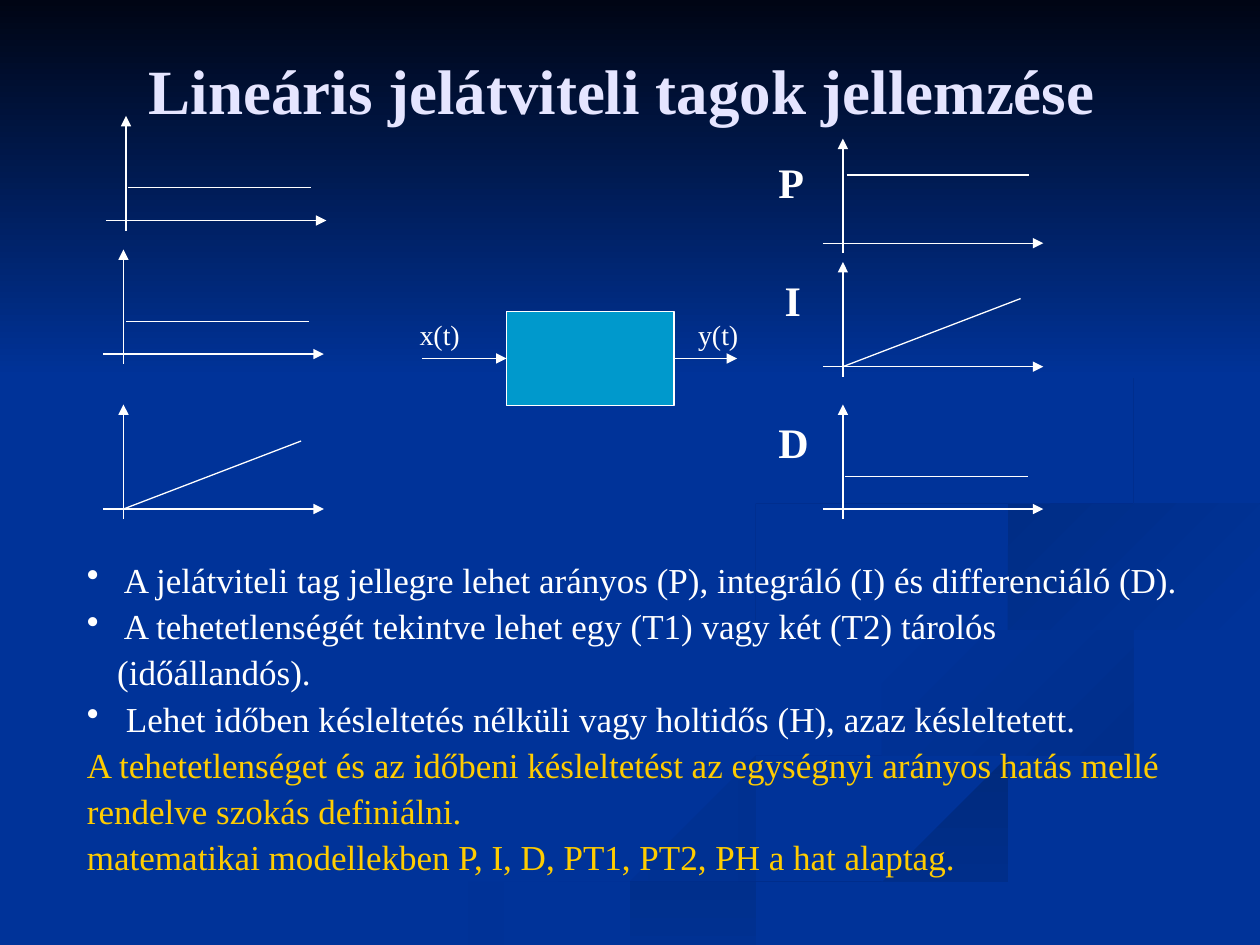
from dataclasses import dataclass
from math import hypot
from lxml.etree import SubElement
from pptx import Presentation
from pptx.dml.color import RGBColor
from pptx.enum.shapes import MSO_CONNECTOR as Conn, MSO_SHAPE as Shape
from pptx.enum.text import MSO_ANCHOR as Anchor, PP_ALIGN as Align
from pptx.oxml.ns import qn
from pptx.util import Inches, Pt

WHITE = RGBColor(0xFF, 0xFF, 0xFF)
BLUE = RGBColor(0x00, 0x33, 0x99)
CYAN = RGBColor(0x00, 0x99, 0xCC)
LAVENDER = RGBColor(0xE5, 0xE5, 0xFF)
YELLOW = RGBColor(0xFF, 0xCC, 0x00)
NIGHT = RGBColor(0x00, 0x05, 0x14)
SHADE_1 = RGBColor(0x00, 0x2E, 0x8B)
SHADE_2 = RGBColor(0x00, 0x2A, 0x7D)
SHADE_3 = RGBColor(0x00, 0x2D, 0x86)
SHADE_4 = RGBColor(0x00, 0x2B, 0x82)

SLIDE_W, SLIDE_H = 10, 7.5
RIGHTWARD, DIAGONAL, DOWNWARD = 0, 315, 270
LEFT_SIDE, RIGHT_SIDE = 1, 3
TIGHT, NORMAL = (0.02, 0.01), (0.1, 0.05)


@dataclass
class Ribbon:
    knots: list
    start: RGBColor
    end: RGBColor
    angle: int


LOWER_SWIRL = Ribbon(
    [(5.72, 4.62, 0.02), (5.85, 4.84, 0.06), (6.65, 5.15, 0.06), (7.74, 5.51, 0.03),
     (7.92, 5.74, 0.14), (7.72, 5.96, 0.18), (6.9, 6.2, 0.16), (5.5, 6.59, 0.18),
     (4.24, 7.02, 0.24), (3.3, 7.49, 0.3)], BLUE, SHADE_1, RIGHTWARD)
MIDDLE_SWIRL = Ribbon(
    [(7.24, 4.64, 0.01), (7.4, 4.91, 0.06), (8.03, 5.2, 0.1), (8.8, 5.42, 0.12),
     (9.24, 5.6, 0.2), (9.29, 5.81, 0.24), (8.95, 6.05, 0.02)], BLUE, SHADE_1, DIAGONAL)
BOTTOM_BAND = Ribbon(
    [(5.37, 7.49, 0.3), (6.3, 7.06, 0.23), (7.22, 6.71, 0.2), (8.46, 6.35, 0.18),
     (10, 5.94, 0.27)], SHADE_2, BLUE, DOWNWARD)
BROAD_RIBBON = Ribbon(
    [(10, 3.94, 0.15), (8.6, 4.17, 0.15), (7.53, 4.63, 0.54), (8.12, 5.03, 0.23),
     (9, 5.28, 0.2), (9.71, 5.6, 0.54), (8.92, 6.09, 0.08), (7.43, 6.49, 0.1),
     (5.73, 7.1, 0.13), (4.9, 7.49, 0.14)], BLUE, BLUE, RIGHTWARD)
RIGHT_TAIL = Ribbon(
    [(10, 4.11, 0.18), (8.9, 4.28, 0.16), (8.1, 4.5, 0.2), (7.93, 4.68, 0.22),
     (8.02, 4.83, 0.12), (8.26, 4.96, 0.01)], SHADE_3, BLUE, DIAGONAL)
UPPER_SWIRL = Ribbon(
    [(7.62, 2.33, 0.01), (8.5, 2.81, 0.05), (8.91, 3.38, 0.05), (8.61, 3.76, 0.13),
     (7.7, 4.06, 0.18), (6.7, 4.24, 0.17), (5.98, 4.47, 0.19), (5.85, 4.68, 0.16),
     (6.22, 5, 0.01)], SHADE_4, BLUE, DIAGONAL)
RIBBONS = [LOWER_SWIRL, MIDDLE_SWIRL, BOTTOM_BAND, BROAD_RIBBON, RIGHT_TAIL, UPPER_SWIRL]
SKY_CORNERS = [(0, 0), (0, 3.08), (SLIDE_W, 3.08), (SLIDE_W, 0)]

STEP_LOW = ((0.02, 0.26), (1.47, 0.26))
STEP_HIGH = ((0.03, 0.54), (1.48, 0.54))
RAMP = ((0, 0), (1.41, 0.54))
INPUT_PLOTS = [(1, 1.75, STEP_LOW), (0.98, 2.81, STEP_LOW), (0.98, 4.04, RAMP)]
OUTPUT_PLOTS = [(6.69, 1.93, STEP_HIGH), (6.69, 2.91, RAMP), (6.69, 4.04, STEP_LOW)]
OUTPUT_NAMES = [("P", 6.08, 1.19, 0.44), ("I", 6.13, 2.13, 0.34), ("D", 6.08, 3.26, 0.44)]

BULLETS = [
    " A jelátviteli tag jellegre lehet arányos (P), integráló (I) és differenciáló (D).",
    " A tehetetlenségét tekintve lehet egy (T1) vagy két (T2) tárolós (időállandós).",
    " Lehet időben késleltetés nélküli vagy holtidős (H), azaz késleltetett.",
]
NOTES = [
    "A tehetetlenséget és az időbeni késleltetést az egységnyi arányos hatás mellé "
    "rendelve szokás definiálni.",
    "matematikai modellekben P, I, D, PT1, PT2, PH a hat alaptag.",
]


def smooth_curve(knots, steps=8):
    padded = [knots[0], *knots, knots[-1]]
    curve = []
    for a, b, c, d in zip(padded, padded[1:], padded[2:], padded[3:]):
        for t in (i / steps for i in range(steps)):
            curve.append([
                q + t / 2 * (r - p + t * (2 * p - 5 * q + 4 * r - s
                                          + t * (3 * q - p - 3 * r + s)))
                for p, q, r, s in zip(a, b, c, d)])
    return curve + [knots[-1]]


def ribbon_outline(knots):
    curve = smooth_curve(knots)
    near, far = [], []
    for before, (x, y, width), after in zip(curve[:1] + curve, curve, curve[1:] + curve[-1:]):
        dx, dy = after[0] - before[0], after[1] - before[1]
        half = width / 2 / hypot(dx, dy)
        for side, sign in ((near, 1), (far, -1)):
            side.append((min(x - sign * dy * half, SLIDE_W),
                         min(y + sign * dx * half, SLIDE_H)))
    return near + far[::-1]


def write(p, text, size=20, color=WHITE, bold=False, align=Align.LEFT, spacing=None,
          bullet=False):
    if bullet:
        pPr = p._p.get_or_add_pPr()
        pPr.set("marL", str(Inches(0.24)))
        pPr.set("indent", str(-Inches(0.24)))
        SubElement(pPr, qn("a:buChar")).set("char", "•")
    p.alignment = align
    if spacing:
        p.line_spacing = spacing
    r = p.add_run()
    r.text = text
    r.font.name = "Times New Roman"
    r.font.size = Pt(size)
    r.font.bold = bold
    r.font.color.rgb = color


class Board:
    def __init__(self, slide):
        self.shapes = slide.shapes
        self.line_color = WHITE
        self.line_width = Pt(0.75)
        slide.background.fill.solid()
        slide.background.fill.fore_color.rgb = BLUE

    def area(self, points, start, end, angle):
        fb = self.shapes.build_freeform(*points[0], scale=Inches(1))
        fb.add_line_segments(points[1:], close=True)
        sp = fb.convert_to_shape()
        sp.shadow.inherit = False
        sp.line.fill.background()
        sp.fill.gradient()
        sp.fill.gradient_angle = angle
        for position, (stop, color) in enumerate(zip(sp.fill.gradient_stops, (start, end))):
            stop.color.rgb = color
            stop.position = position

    def line(self, x1, y1, x2, y2, arrow=False):
        c = self.shapes.add_connector(Conn.STRAIGHT, *map(Inches, (x1, y1, x2, y2)))
        c.line.color.rgb = self.line_color
        c.line.width = self.line_width
        if arrow:
            SubElement(c.line._get_or_add_ln(), qn("a:tailEnd")).set("type", "triangle")
        SubElement(c._element.spPr, qn("a:effectLst"))
        return c

    def plot(self, x, y, curve):
        self.line(x, y + 0.08, x, y - 0.83, arrow=True)
        self.line(x - 0.16, y, x + 1.59, y, arrow=True)
        (x1, y1), (x2, y2) = curve
        self.line(x + x1, y - y1, x + x2, y - y2)

    def block(self, x, y, w, h):
        sp = self.shapes.add_shape(Shape.RECTANGLE, *map(Inches, (x, y, w, h)))
        sp.shadow.inherit = False
        sp.fill.solid()
        sp.fill.fore_color.rgb = CYAN
        sp.line.color.rgb = self.line_color
        sp.line.width = self.line_width
        return sp

    def text(self, x, y, w, h, text, inset=NORMAL, wrap=True, anchor=Anchor.TOP, **style):
        tf = self.shapes.add_textbox(*map(Inches, (x, y, w, h))).text_frame
        tf.word_wrap = wrap
        tf.vertical_anchor = anchor
        tf.margin_left = tf.margin_right = Inches(inset[0])
        tf.margin_top = tf.margin_bottom = Inches(inset[1])
        write(tf.paragraphs[0], text, **style)
        return tf


def draw_block_diagram(board):
    x, y, w, h = 4.02, 2.47, 1.33, 0.75
    middle = y + h / 2
    block = board.block(x, y, w, h)
    board.line(x - 0.67, middle, x, middle, arrow=True).end_connect(block, LEFT_SIDE)
    board.line(x + w, middle, x + w + 0.5, middle, arrow=True).begin_connect(block, RIGHT_SIDE)
    for left, signal in ((3.31, "x(t)"), (5.52, "y(t)")):
        board.text(left, 2.51, 0.36, 0.29, signal, inset=TIGHT, wrap=False, size=16)


def main():
    prs = Presentation()
    prs.slide_width, prs.slide_height = Inches(SLIDE_W), Inches(SLIDE_H)
    board = Board(prs.slides.add_slide(prs.slide_layouts[6]))

    for ribbon in RIBBONS:
        board.area(ribbon_outline(ribbon.knots), ribbon.start, ribbon.end, ribbon.angle)
    board.area(SKY_CORNERS, NIGHT, BLUE, DOWNWARD)
    board.text(0.75, 0.33, 8.5, 0.75, "Lineáris jelátviteli tagok jellemzése ",
               anchor=Anchor.MIDDLE, size=36, color=LAVENDER, bold=True, align=Align.CENTER)

    draw_block_diagram(board)
    for x, y, curve in INPUT_PLOTS + OUTPUT_PLOTS:
        board.plot(x, y, curve)
    for name, x, y, w in OUTPUT_NAMES:
        board.text(x, y, w, 0.5, name, size=24, bold=True)

    tf = board.text(0.67, 4.39, 8.76, 2.59, BULLETS[0], inset=TIGHT, spacing=1.1, bullet=True)
    for text in BULLETS[1:]:
        write(tf.add_paragraph(), text, spacing=1.1, bullet=True)
    for text in NOTES:
        write(tf.add_paragraph(), text, spacing=1.1, color=YELLOW)

    prs.save("out.pptx")


if __name__ == "__main__":
    main()
